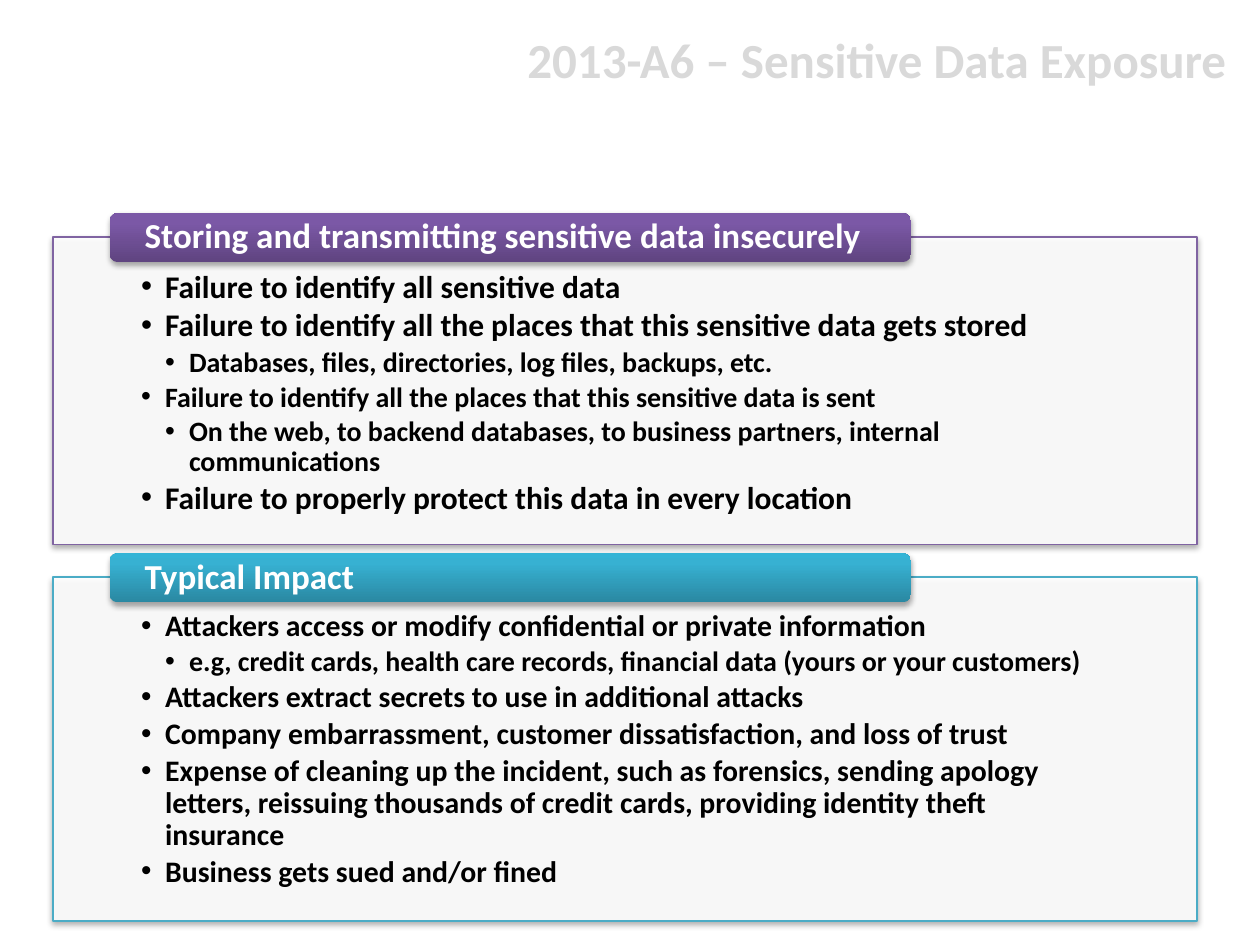
from copy import deepcopy
from pptx import Presentation
from pptx.dml.color import RGBColor
from pptx.enum.shapes import MSO_SHAPE
from pptx.enum.text import MSO_ANCHOR, MSO_AUTO_SIZE, PP_ALIGN
from pptx.oxml import parse_xml
from pptx.oxml.ns import nsdecls, qn
from pptx.util import Inches, Pt

deck = Presentation()
deck.slide_width, deck.slide_height = Inches(10), Inches(7.5)
col, row = deck.slide_width / 100, deck.slide_height / 100
slide = deck.slides.add_slide(deck.slide_layouts[3])
shapes = slide.shapes


def write(para, text, size, color):
    run = para.add_run()
    run.text = text
    font = run.font
    font.name, font.size, font.bold = "Calibri", Pt(size), True
    font.color.rgb = RGBColor.from_string(color)


def shade(shape):
    shape.shadow.inherit = False
    shape._element.spPr.find(qn("a:effectLst")).append(parse_xml(
        f'<a:outerShdw {nsdecls("a")} blurRad="40000" dist="23000" dir="5400000" rotWithShape="0">'
        '<a:srgbClr val="000000"><a:alpha val="35000"/></a:srgbClr></a:outerShdw>'))


# Title
title = shapes.title
title.left, title.top = int(28.3 * col), int(1.07 * row)
title.width, title.height = int(70 * col), int(10.4 * row)
title.text_frame.auto_size = MSO_AUTO_SIZE.NONE
title.text_frame.vertical_anchor = MSO_ANCHOR.MIDDLE
para = title.text_frame.paragraphs[0]
para.alignment = PP_ALIGN.RIGHT
write(para, "2013-A6 – Sensitive Data Exposure", 28, "D9D9D9")

# Panels: heading, top row, rows high, line, gradient, list of (level, size, text)
panels = [
    ("Storing and transmitting sensitive data insecurely", 25.07, 32.53,
     "8064A2", ("5F4480", "7B58A6", "7C57A8"), [
         (0, 18, "Failure to identify all sensitive data"),
         (0, 18, "Failure to identify all the places that this sensitive data gets stored"),
         (1, 16, "Databases, files, directories, log files, backups, etc."),
         (0, 16, "Failure to identify all the places that this sensitive data is sent"),
         (1, 16, "On the web, to backend databases, to business partners, "
                 "internal communications"),
         (0, 18, "Failure to properly protect this data in every location")]),
    ("Typical Impact", 61.07, 36.4,
     "4BACC6", ("2A88A2", "37B1D2", "34B4D6"), [
         (0, 17, "Attackers access or modify confidential or private information"),
         (1, 16, "e.g, credit cards, health care records, financial data "
                 "(yours or your customers)"),
         (0, 17, "Attackers extract secrets to use in additional attacks"),
         (0, 17, "Company embarrassment, customer dissatisfaction, and loss of trust"),
         (0, 17, "Expense of cleaning up the incident, such as forensics, sending apology "
                 "letters, reissuing thousands of credit cards, providing identity theft "
                 "insurance"),
         (0, 17, "Business gets sued and/or fined")]),
]

for slot, (head, top, high, line, grad, items) in enumerate(panels, 1):
    # Frame
    area = [int(v) for v in (4.2 * col, top * row, 90.8 * col, high * row)]
    frame = shapes.add_shape(MSO_SHAPE.RECTANGLE, *area)
    frame.fill.solid()
    frame.fill.fore_color.rgb = RGBColor.from_string("FFFFFF")
    tint = frame._element.spPr.find(".//" + qn("a:srgbClr"))
    tint.append(parse_xml(f'<a:alpha {nsdecls("a")} val="90000"/>'))
    frame.line.color.rgb = RGBColor.from_string(line)
    frame.line.width = Pt(0.75)
    shade(frame)

    # List, brought in front of its frame
    body = slide.placeholders[slot]
    body.left, body.top, body.width, body.height = area
    shapes._spTree.append(body._element)
    text = body.text_frame
    text.auto_size, text.word_wrap = MSO_AUTO_SIZE.NONE, True
    text.vertical_anchor = MSO_ANCHOR.TOP
    text.margin_left = text.margin_right = Inches(0.7)
    text.margin_top, text.margin_bottom = Inches(0.27), Inches(0.12)
    for num, (level, size, words) in enumerate(items):
        para = text.add_paragraph() if num else text.paragraphs[0]
        para.level, para.line_spacing = level, 0.9
        para.space_before, para.space_after = Pt(0), Pt(0.15 * size)
        props = para._p.get_or_add_pPr()
        props.set("marL", str(Inches(0.19) * (level + 1)))
        props.set("indent", str(-Inches(0.19)))
        props.append(parse_xml(f'<a:buFont {nsdecls("a")} typeface="Arial"/>'))
        props.append(parse_xml(f'<a:buChar {nsdecls("a")} char="•"/>'))
        write(para, words, size, "000000")

    # Heading bar across the frame's top edge
    bar = shapes.add_shape(MSO_SHAPE.ROUNDED_RECTANGLE, int(8.7 * col),
                           int((top - 2.53) * row), int(63.6 * col), int(5.2 * row))
    bar.fill.gradient()
    bar.fill.gradient_angle = 90
    stops = bar._element.spPr.find(".//" + qn("a:gsLst"))
    stops.insert(1, deepcopy(stops[0]))
    for stop, place, color in zip(bar.fill.gradient_stops, (0, 0.8, 1), grad):
        stop.position = place
        stop.color.rgb = RGBColor.from_string(color)
    bar.line.fill.background()
    shade(bar)
    text = bar.text_frame
    text.word_wrap, text.vertical_anchor = True, MSO_ANCHOR.MIDDLE
    text.margin_left = text.margin_right = Inches(0.26)
    text.margin_top = text.margin_bottom = 0
    para = text.paragraphs[0]
    para.alignment, para.line_spacing = PP_ALIGN.LEFT, 0.9
    write(para, head, 20, "FFFFFF")

deck.save("out.pptx")
